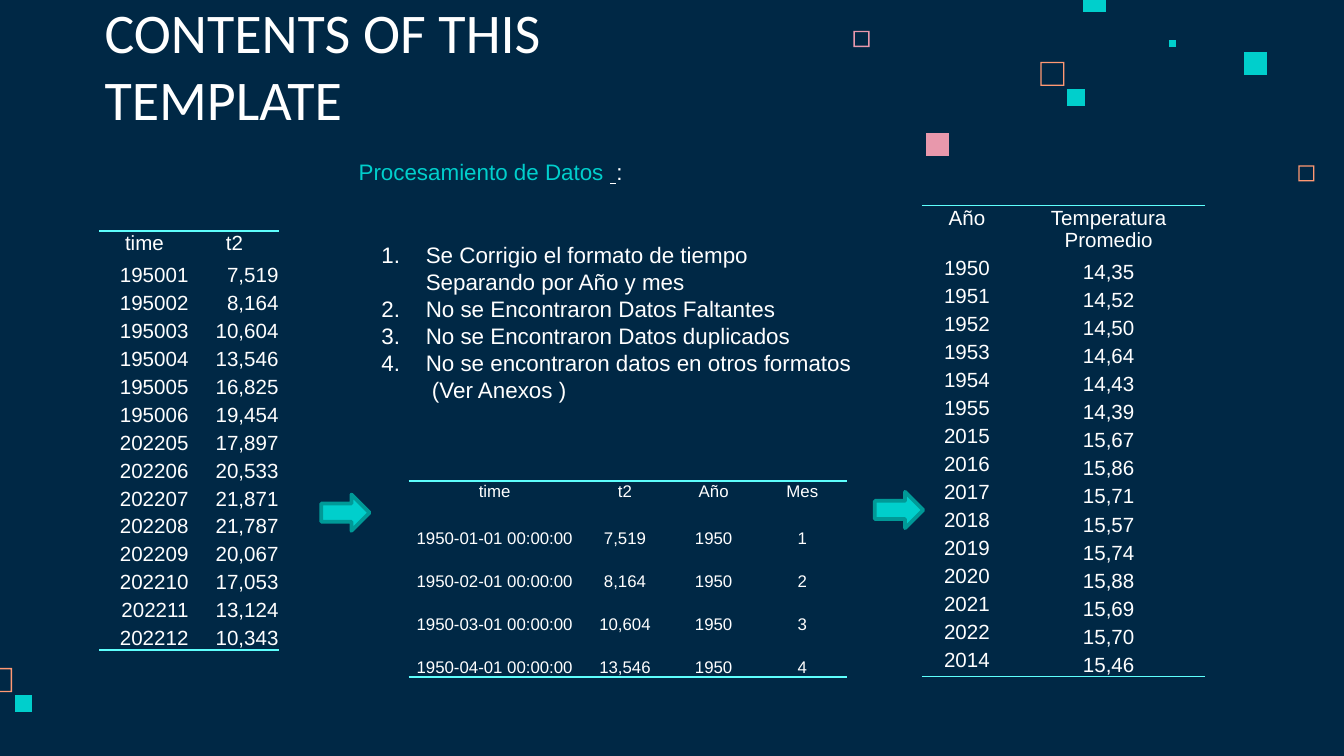
from lxml import etree
from pptx import Presentation
from pptx import util as u
from pptx.dml.color import RGBColor
from pptx.enum import shapes, text
from pptx.oxml import ns

INK = {"back": "002845", "teal": "00CFCC", "edge": "009997", "rule": "5EFFFD",
       "pink": "E898AC", "coral": "FF9973", "white": "FFFFFF"}
MID, RIGHT = text.PP_ALIGN.CENTER, text.PP_ALIGN.RIGHT

# left, top, side, colour
FRAMES = [(9.66, 1.23, 0.12, "coral"), (6.35, 0.23, 0.12, "pink"),
          (7.74, 0.46, 0.18, "coral"), (-0.09, 4.97, 0.18, "coral")]
BLOCKS = [(8.7, 0.3, 0.05, "teal"), (8.06, -0.08, 0.17, "teal"),
          (9.26, 0.39, 0.17, "teal"), (7.94, 0.66, 0.13, "teal"),
          (6.89, 0.99, 0.17, "pink"), (0.11, 5.17, 0.13, "teal")]

STEPS = ["Se Corrigio el formato de tiempo Separando por Año y mes",
         "No se Encontraron Datos Faltantes",
         "No se Encontraron Datos duplicados",
         "No se encontraron datos en otros formatos  (Ver Anexos )"]

MONTHS = [("time", "t2"), ("195001", "7,519"), ("195002", "8,164"),
          ("195003", "10,604"), ("195004", "13,546"), ("195005", "16,825"),
          ("195006", "19,454"), ("202205", "17,897"), ("202206", "20,533"),
          ("202207", "21,871"), ("202208", "21,787"), ("202209", "20,067"),
          ("202210", "17,053"), ("202211", "13,124"), ("202212", "10,343")]
DATES = [("time", "t2", "Año", "Mes"),
         ("1950-01-01 00:00:00", "7,519", "1950", "1"),
         ("1950-02-01 00:00:00", "8,164", "1950", "2"),
         ("1950-03-01 00:00:00", "10,604", "1950", "3"),
         ("1950-04-01 00:00:00", "13,546", "1950", "4")]
YEARS = [("Año", "Temperatura Promedio"), ("1950", "14,35"), ("1951", "14,52"),
         ("1952", "14,50"), ("1953", "14,64"), ("1954", "14,43"),
         ("1955", "14,39"), ("2015", "15,67"), ("2016", "15,86"),
         ("2017", "15,71"), ("2018", "15,57"), ("2019", "15,74"),
         ("2020", "15,88"), ("2021", "15,69"), ("2022", "15,70"),
         ("2014", "15,46")]


def hue(name):
    return RGBColor.from_string(INK[name])


def style(font, size, name="Arial", ink="white"):
    font.size, font.name = u.Pt(size), name
    font.color.rgb = hue(ink)


def square(slide, x, y, side, ink, rim=None):
    """Draw a solid square, or a hollow one when a rim is given."""
    def ring(gap):
        a, b = u.Inches(x + gap), u.Inches(y + gap)
        c, d = u.Inches(x + side - gap), u.Inches(y + side - gap)
        return [(a, b), (a, d), (c, d), (c, b)]

    outer = ring(0)
    pen = slide.shapes.build_freeform(*outer[0])
    pen.add_line_segments(outer[1:])
    if rim:
        inner = ring(rim)[::-1]
        pen.move_to(*inner[0])
        pen.add_line_segments(inner[1:])
    shape = pen.convert_to_shape()
    shape.shadow.inherit = False
    shape.fill.solid()
    shape.fill.fore_color.rgb = hue(ink)
    shape.line.fill.background()


def arrow(slide, x, y):
    shape = slide.shapes.add_shape(shapes.MSO_SHAPE.RIGHT_ARROW, u.Inches(x),
                                   u.Inches(y), u.Inches(0.36), u.Inches(0.27))
    shape.shadow.inherit = False
    shape.fill.solid()
    shape.fill.fore_color.rgb = hue("teal")
    shape.line.color.rgb = hue("edge")
    shape.line.width = u.Pt(2)


def box(slide, x, y, w, h):
    frame = slide.shapes.add_textbox(*map(u.Inches, (x, y, w, h))).text_frame
    frame.word_wrap = True
    frame.margin_left = frame.margin_right = u.Inches(0.1)
    frame.margin_top = frame.margin_bottom = u.Inches(0.1)
    return frame


def title(slide):
    frame = box(slide, 0.68, 0.45, 5.17, 0.63)
    frame.vertical_anchor = text.MSO_ANCHOR.BOTTOM
    para = frame.paragraphs[0]
    para.text = "CONTENTS OF THIS TEMPLATE"
    style(para.font, 30, "Calibri")


def number(para):
    props = para._p.get_or_add_pPr()
    props.set("marL", str(u.Inches(0.5)))
    props.set("indent", str(u.Inches(-0.33)))
    tint = etree.SubElement(props, ns.qn("a:buClr"))
    etree.SubElement(tint, ns.qn("a:srgbClr"), val=INK["white"])
    etree.SubElement(props, ns.qn("a:buFont"), typeface="Arial")
    etree.SubElement(props, ns.qn("a:buAutoNum"), type="arabicPeriod")


def process(slide):
    frame = box(slide, 2.57, 1.08, 3.87, 1.98)
    head = frame.paragraphs[0]
    for words, ink, under in [("Procesamiento de Datos ", "teal", False),
                              (" ", "white", True), (":", "white", False)]:
        run = head.add_run()
        run.text = words
        style(run.font, 12, ink=ink)
        run.font.underline = under
    for i, step in enumerate(STEPS):
        para = frame.add_paragraph()
        para.text = step
        para.space_before = u.Pt(0 if i else 30)
        number(para)
        style(para.font, 12)


def border(cell, ruled):
    """Rule the named sides of a cell and clear the others."""
    props = cell._tc.get_or_add_tcPr()
    for i, side in enumerate(("lnL", "lnR", "lnT", "lnB")):
        line = etree.Element(ns.qn("a:" + side), w=str(u.Pt(1)))
        if side in ruled:
            fill = etree.SubElement(line, ns.qn("a:solidFill"))
            etree.SubElement(fill, ns.qn("a:srgbClr"), val=INK["rule"])
        else:
            etree.SubElement(line, ns.qn("a:noFill"))
        props.insert(i, line)


def grid(slide, data, x, y, cols, height, head, size, align=MID, high=()):
    """Add a table; columns listed in high keep their text at the top."""
    last = len(data) - 1
    sides = {0: ["lnT"], last: ["lnB"]}
    table = slide.shapes.add_table(
        len(data), len(cols), u.Inches(x), u.Inches(y),
        u.Inches(sum(cols)), u.Inches(height)).table
    table.first_row = table.horz_banding = False
    for col, w in zip(table.columns, cols):
        col.width = u.Inches(w)
    for r, row in enumerate(data):
        table.rows[r].height = u.Inches((height - head) / last if r else head)
        for c, words in enumerate(row):
            cell = table.cell(r, c)
            cell.fill.background()
            cell.margin_left = cell.margin_right = u.Pt(0.5)
            cell.margin_top, cell.margin_bottom = u.Pt(0.5), 0
            top = r == 0 or c in high
            cell.vertical_anchor = (text.MSO_ANCHOR.TOP if top
                                    else text.MSO_ANCHOR.BOTTOM)
            para = cell.text_frame.paragraphs[0]
            para.text = words
            para.alignment = align if r else MID
            style(para.font, size)
            border(cell, sides.get(r, []))


def main():
    deck = Presentation()
    deck.slide_width = u.Inches(10)
    deck.slide_height = deck.slide_width * 9 // 16
    slide = deck.slides.add_slide(deck.slide_layouts[6])
    slide.background.fill.solid()
    slide.background.fill.fore_color.rgb = hue("back")
    for spot in FRAMES:
        square(slide, *spot, rim=0.01)
    for spot in BLOCKS:
        square(slide, *spot)
    process(slide)
    title(slide)
    grid(slide, YEARS, 6.86, 1.53, [0.67, 1.44], 3.48, 0.35, 11, high=(0,))
    grid(slide, MONTHS, 0.74, 1.72, [0.67, 0.67], 3.12, 0.21, 11, align=RIGHT)
    grid(slide, DATES, 3.04, 3.58, [1.28] + [0.66] * 3, 1.46, 0.18, 9)
    arrow(slide, 2.39, 3.68)
    arrow(slide, 6.51, 3.66)
    deck.save("out.pptx")


if __name__ == "__main__":
    main()
